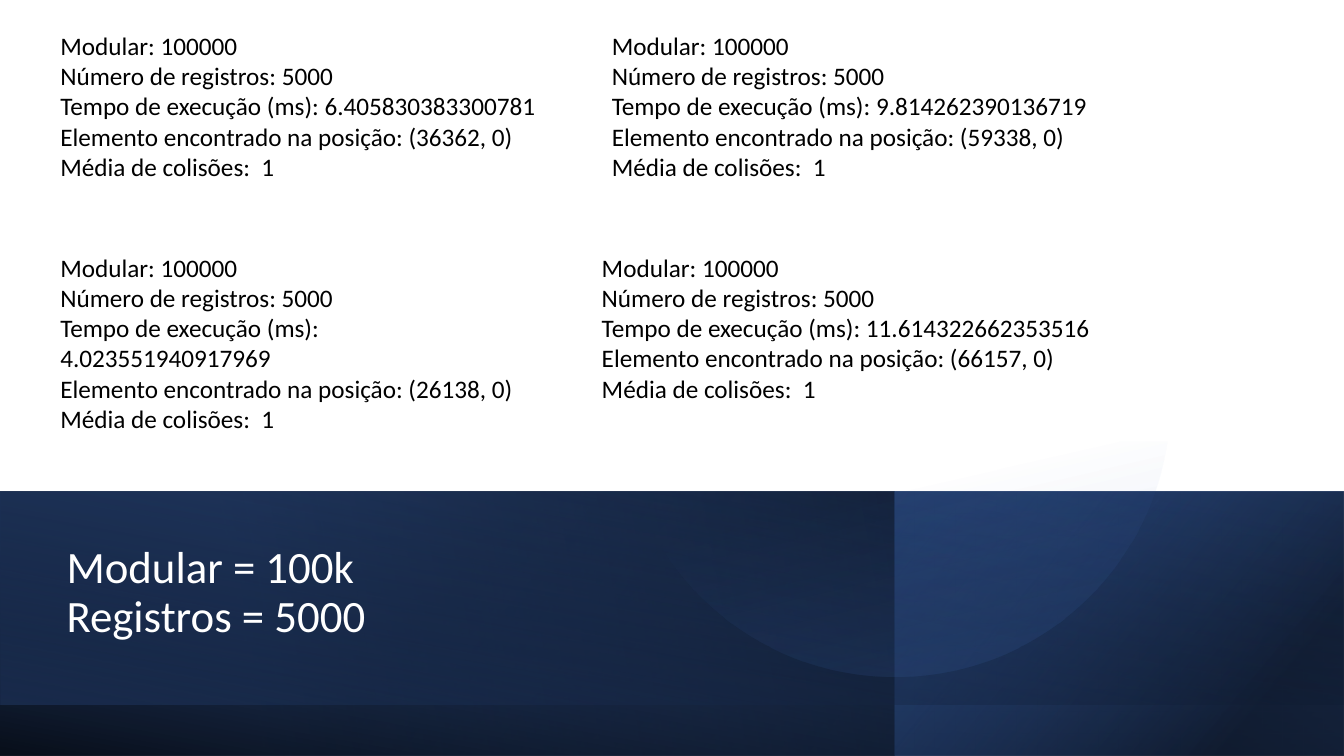
from math import asin, cos, pi, sin

from lxml.etree import SubElement
from pptx import Presentation
from pptx.dml.color import RGBColor
from pptx.enum.shapes import MSO_SHAPE
from pptx.enum.text import MSO_ANCHOR, MSO_AUTO_SIZE, PP_ALIGN
from pptx.oxml.ns import qn
from pptx.util import Inches, Pt

SLIDE_WIDTH = Inches(13.33)
SLIDE_HEIGHT = Inches(7.5)
COLUMN = SLIDE_WIDTH / 60
ROW = SLIDE_HEIGHT / 30

BLACK = RGBColor(0x00, 0x00, 0x00)
WHITE = RGBColor(0xFF, 0xFF, 0xFF)
BLUE = RGBColor(0x44, 0x72, 0xC4)
DEEP_BLUE = RGBColor(0x2F, 0x55, 0x97)
NAVY = RGBColor(0x20, 0x38, 0x64)
FONT = "Calibri"

BAND_TOP = 19.52
BAND_ROWS = 10.48
PANEL_LEFT = 39.94

BAND_LAYERS = [
    (0, 60, BAND_ROWS, 140, [(34, BLACK, 96), (100, BLUE, 100)]),
    (0, PANEL_LEFT, BAND_ROWS, 190, [(28, DEEP_BLUE, 59), (100, BLACK, 70)]),
    (0, 60, BAND_ROWS, 260, [(0, BLACK, 72), (100, BLUE, 24)]),
    (PANEL_LEFT, 60 - PANEL_LEFT, BAND_ROWS, 320,
     [(19, BLACK, 62), (100, DEEP_BLUE, 44)]),
]

RESULTS = [
    (2.25, 1, 22.95, 6.48, "6.405830383300781", 36362, 6),
    (2.25, 9.8, 21.29, 9.24, "4.023551940917969", 26138, 6),
    (26.87, 1, 22.91, 7.68, "9.814262390136719", 59338, 0),
    (26.42, 9.8, 22.73, 7.68, "11.614322662353516", 66157, 0),
]


def grid_box(left, top, width, height):
    return (round(left * COLUMN), round(top * ROW),
            round(width * COLUMN), round(height * ROW))


def fill_gradient(shape, stops, angle):
    shape.shadow.inherit = False
    shape.line.fill.background()
    shape.fill.gradient()
    gradient = shape.element.spPr.find(qn("a:gradFill"))
    gradient.set("rotWithShape", "1")
    for child in list(gradient):
        gradient.remove(child)
    stop_list = SubElement(gradient, qn("a:gsLst"))
    for position, color, opacity in stops:
        stop = SubElement(stop_list, qn("a:gs"), pos=str(position * 1000))
        tint = SubElement(stop, qn("a:srgbClr"), val=str(color))
        SubElement(tint, qn("a:alpha"), val=str(opacity * 1000))
    SubElement(gradient, qn("a:lin"), ang=str(angle * 60000), scaled="0")


def add_band_layer(slide, left, width, height, angle, stops):
    shape = slide.shapes.add_shape(
        MSO_SHAPE.RECTANGLE, *grid_box(left, BAND_TOP, width, height))
    fill_gradient(shape, stops, angle)
    return shape


def add_bowl(slide):
    center_x, center_y = Inches(8.875), Inches(3.98)
    radius, rim = Inches(2.73), Inches(4.38)
    start = asin((rim - center_y) / radius)
    steps = 90
    angles = [start + (pi - 2 * start) * step / steps
              for step in range(steps + 1)]
    points = [(round(center_x + radius * cos(angle)),
               round(center_y + radius * sin(angle))) for angle in angles]
    builder = slide.shapes.build_freeform(*points[0])
    builder.add_line_segments(points[1:], close=True)
    fill_gradient(builder.convert_to_shape(),
                  [(31, BLUE, 0), (85, BLUE, 13)], 77)


def format_paragraph(paragraph, size, color):
    paragraph.alignment = PP_ALIGN.LEFT
    for run in paragraph.runs:
        run.font.name = FONT
        run.font.size = Pt(size)
        run.font.color.rgb = color


def place_title(slide):
    title = slide.shapes.title
    title.element.getparent().append(title.element)
    title.left, title.top, title.width, title.height = grid_box(
        2.52, 21.88, 46.5, 3.8)
    frame = title.text_frame
    frame.text = "Modular = 100k\vRegistros = 5000"
    frame.word_wrap = True
    frame.auto_size = MSO_AUTO_SIZE.NONE
    frame.vertical_anchor = MSO_ANCHOR.BOTTOM
    paragraph = frame.paragraphs[0]
    paragraph.line_spacing = 0.9
    format_paragraph(paragraph, 32, WHITE)


def add_result(slide, left, top, width, height, time, position, space_after):
    box = slide.shapes.add_textbox(*grid_box(left, top, width, height))
    frame = box.text_frame
    frame.text = "\n".join([
        "Modular: 100000",
        "Número de registros: 5000",
        f"Tempo de execução (ms): {time}",
        f"Elemento encontrado na posição: ({position}, 0)",
        "Média de colisões:  1",
    ])
    frame.word_wrap = True
    frame.auto_size = MSO_AUTO_SIZE.SHAPE_TO_FIT_TEXT
    for paragraph in frame.paragraphs:
        format_paragraph(paragraph, 18, BLACK)
    frame.paragraphs[-1].space_after = Pt(space_after)


def main():
    presentation = Presentation()
    presentation.slide_width = SLIDE_WIDTH
    presentation.slide_height = SLIDE_HEIGHT
    slide = presentation.slides.add_slide(presentation.slide_layouts[5])
    slide.background.fill.solid()
    slide.background.fill.fore_color.rgb = WHITE
    for layer in BAND_LAYERS:
        shape = add_band_layer(slide, *layer)
        shape.element.spPr.find(qn("a:xfrm")).set("flipH", "1")
    glow = add_band_layer(slide, 0, 60, 8.44, 280,
                          [(0, BLACK, 0), (99, NAVY, 55)])
    glow.rotation = 180
    add_bowl(slide)
    place_title(slide)
    for result in RESULTS:
        add_result(slide, *result)
    presentation.save("out.pptx")


if __name__ == "__main__":
    main()
